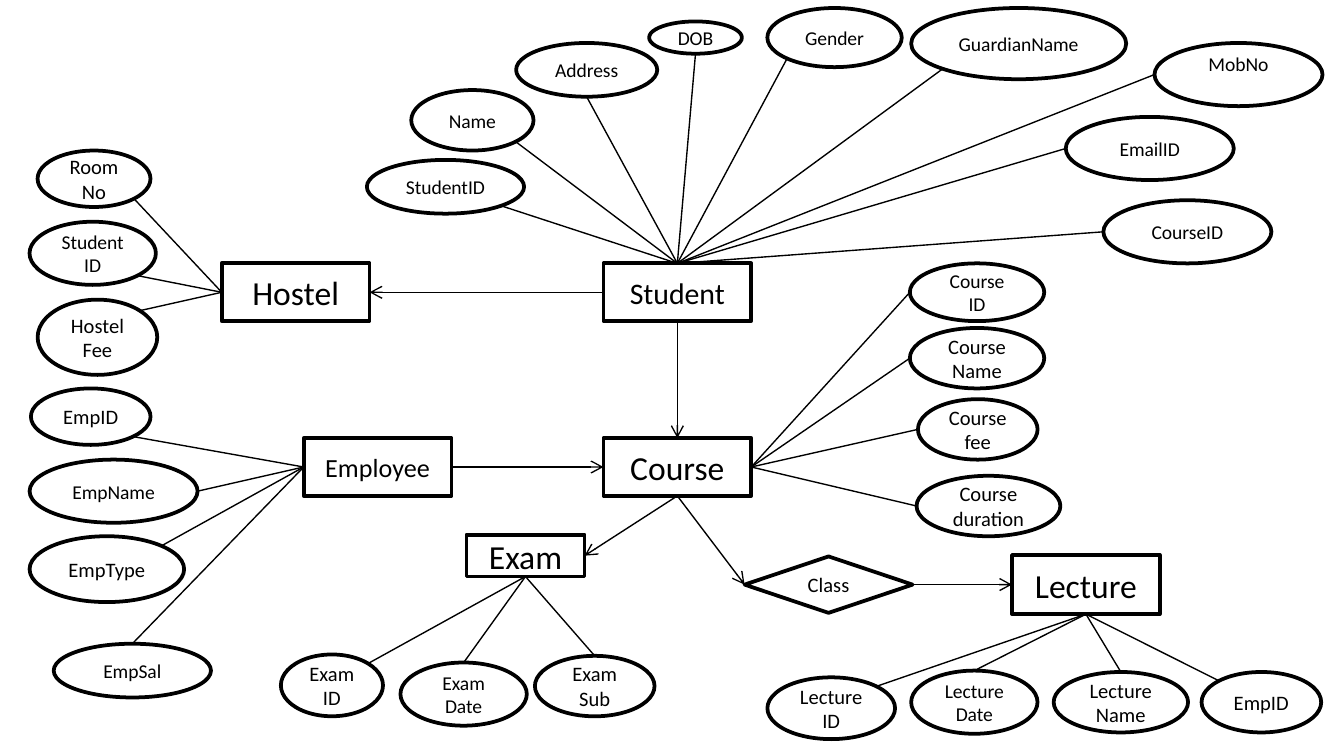
import math
import pptx
import pptx.util
import pptx.dml.color
import pptx.enum.shapes
import pptx.enum.text
import pptx.oxml
import pptx.oxml.ns

Inches, Pt = pptx.util.Inches, pptx.util.Pt
MSO_SHAPE = pptx.enum.shapes.MSO_SHAPE
ANCHOR = pptx.enum.text.MSO_ANCHOR
COLORS = {"ink": "000000", "paper": "FFFFFF"}
FONT = "Calibri"

# Entities: name -> (left, top, width, height), text size
ENTITIES = {
    "Student": ((4.49, 1.96, 1.1, 0.43), 16),
    "Employee": ((2.26, 3.26, 1.1, 0.43), 14),
    "Course": ((4.49, 3.26, 1.1, 0.43), 18),
    "Hostel": ((1.65, 1.96, 1.1, 0.43), 18),
    "Exam": ((3.47, 3.98, 0.88, 0.31), 18),
    "Lecture": ((7.53, 4.13, 1.1, 0.44), 18),
    "Class": ((5.54, 4.14, 1.25, 0.42), 11),
}

# Relations: (from, side, to, side)
RELATIONS = [
    ("Course", "bottom", "Exam", "right"),
    ("Student", "bottom", "Course", "top"),
    ("Student", "left", "Hostel", "right"),
    ("Course", "bottom", "Class", "left"),
    ("Employee", "right", "Course", "left"),
    ("Class", "right", "Lecture", "left"),
]

# Attributes: (entity, side) -> (text, box, text size, side of the oval)
# "\n" starts a paragraph, "\v" breaks a line
ATTRIBUTES = {
    ("Student", "top"): [
        ("StudentID", (2.73, 1.19, 1.17, 0.4), 10.5, "bottom right"),
        ("Name", (3.06, 0.67, 0.91, 0.45), 10.5, "bottom right"),
        ("Address", (3.84, 0.32, 1.05, 0.4), 10.5, "bottom"),
        ("DOB", (4.83, 0.16, 0.69, 0.24), 10.5, "bottom"),
        ("Gender", (5.71, 0.06, 1, 0.44), 10.5, "bottom left"),
        ("GuardianName", (6.78, 0.06, 1.6, 0.53), 10.5, "bottom left"),
        ("MobNo", (8.59, 0.32, 1.25, 0.47), 10.5, "left"),
        ("EmailID", (7.93, 0.87, 1.25, 0.47), 10.5, "left"),
        ("CourseID", (8.21, 1.49, 1.25, 0.47), 10.5, "left"),
    ],
    ("Hostel", "left"): [
        ("Room\vNo", (0.28, 1.12, 0.84, 0.42), 11, "bottom right"),
        ("Student\vID", (0.22, 1.65, 0.94, 0.47), 10.5, "bottom right"),
        ("Hostel Fee", (0.28, 2.23, 0.89, 0.56), 11, "top right"),
    ],
    ("Employee", "left"): [
        ("EmpID", (0.23, 2.89, 0.89, 0.42), 11, "bottom right"),
        ("EmpName", (0.22, 3.42, 1.25, 0.47), 10.5, "right"),
        ("EmpType", (0.22, 3.99, 1.15, 0.49), 11, "top right"),
        ("EmpSal", (0.4, 4.79, 1.17, 0.4), 10.5, "top"),
    ],
    ("Exam", "bottom"): [
        ("Exam\vID", (2.09, 4.87, 0.76, 0.46), 11, "top right"),
        ("Exam\nDate", (2.98, 4.93, 0.94, 0.47), 10.5, "top"),
        ("Exam\nSub", (3.98, 4.88, 0.89, 0.45), 11, "top"),
    ],
    ("Lecture", "bottom"): [
        ("Lecture\vID", (5.71, 5.04, 0.95, 0.46), 11, "top right"),
        ("Lecture\nDate", (6.78, 4.99, 0.94, 0.47), 10.5, "top"),
        ("Lecture\nName", (7.84, 5, 1, 0.45), 11, "top"),
        ("EmpID", (8.94, 5, 0.89, 0.45), 11, "top left"),
    ],
    ("Course", "right"): [
        ("Course\nID", (6.77, 1.96, 1, 0.43), 10.5, "left"),
        ("Course\nName", (6.77, 2.44, 1, 0.45), 11, "left"),
        ("Course\nfee", (6.83, 2.97, 0.89, 0.45), 11, "left"),
        ("Course\nduration", (6.82, 3.54, 1.07, 0.45), 11, "left"),
    ],
}

# Slide in 16:9
prs = pptx.Presentation()
prs.slide_width = Inches(10)
prs.slide_height = Inches(10 * 9 / 16)
s = prs.slides.add_slide(prs.slide_layouts[6])


def rgb(name):
    return pptx.dml.color.RGBColor.from_string(COLORS[name])


def point(box, side):
    """Point on the outline; a corner side lies on the oval at 45 degrees."""
    x, y, w, h = box
    dx = ("right" in side) - ("left" in side)
    dy = ("bottom" in side) - ("top" in side)
    reach = math.hypot(dx, dy)
    return x + w / 2 * (1 + dx / reach), y + h / 2 * (1 + dy / reach)


def add_line(start, end, arrow=False):
    ends = [Inches(v) for v in (*start, *end)]
    c = s.shapes.add_connector(pptx.enum.shapes.MSO_CONNECTOR.STRAIGHT, *ends)
    c.line.color.rgb = rgb("ink")
    c.line.width = Pt(0.75)
    if arrow:
        tail = pptx.oxml.ns.qn("a:tailEnd")
        c.line._get_or_add_ln().append(c._element.makeelement(tail, {"type": "arrow"}))
    effects = pptx.oxml.ns.qn("a:effectLst")
    c._element.spPr.append(c._element.makeelement(effects, {}))


def add_node(text, *, box, size, kind, anchor=ANCHOR.MIDDLE, inset=0.04):
    sp = s.shapes.add_shape(kind, *[Inches(v) for v in box])
    sp.shadow.inherit = False
    sp.fill.solid()
    sp.fill.fore_color.rgb = rgb("paper")
    sp.line.color.rgb = rgb("ink")
    sp.line.width = Pt(2)
    tf = sp.text_frame
    tf.word_wrap = True
    tf.vertical_anchor = anchor
    tf.margin_left = tf.margin_right = Inches(0.08)
    tf.margin_top = tf.margin_bottom = Inches(inset)
    tf.text = text
    for p in tf.paragraphs:
        p.alignment = pptx.enum.text.PP_ALIGN.CENTER
        for r in p.runs:
            r.font.name, r.font.size = FONT, Pt(size)
            r.font.color.rgb = rgb("ink")


# Entities and the relation diamond
for name, (box, size) in ENTITIES.items():
    kind = MSO_SHAPE.DIAMOND if name == "Class" else MSO_SHAPE.RECTANGLE
    add_node(name, box=box, size=size, kind=kind)

# Arrows between entities
for a, a_side, b, b_side in RELATIONS:
    add_line(point(ENTITIES[a][0], a_side), point(ENTITIES[b][0], b_side), arrow=True)

# Attribute ovals, each tied to its entity
for (entity, hub_side), ovals in ATTRIBUTES.items():
    hub = point(ENTITIES[entity][0], hub_side)
    for text, box, size, side in ovals:
        raised = {"anchor": ANCHOR.TOP, "inset": 0} if text == "MobNo" else {}
        add_node(text, box=box, size=size, kind=MSO_SHAPE.OVAL, **raised)
        add_line(hub, point(box, side))

prs.save("out.pptx")
